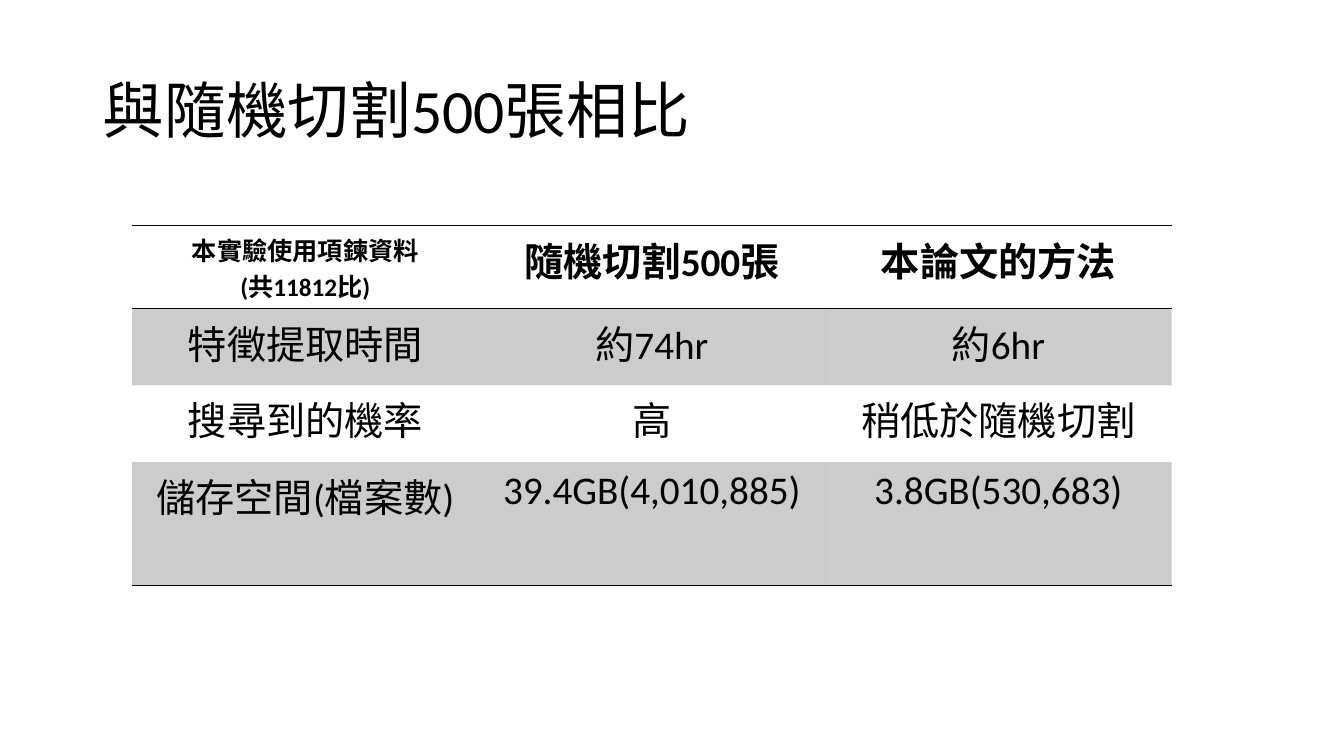
from lxml.etree import SubElement
from pptx import Presentation
from pptx.dml.color import RGBColor
from pptx.enum.text import MSO_ANCHOR, PP_ALIGN
from pptx.oxml.ns import qn
from pptx.util import Inches, Pt

# Content
TITLE = "與隨機切割500張相比"
ROWS = [
    ("本實驗使用項鍊資料\n(共11812比)", "隨機切割500張", "本論文的方法"),
    ("特徵提取時間", "約74hr", "約6hr"),
    ("搜尋到的機率", "高", "稍低於隨機切割"),
    ("儲存空間(檔案數)", "39.4GB(4,010,885)", "3.8GB(530,683)"),
]

# Look
FONT = "Calibri"
BLACK = RGBColor(0, 0, 0)
PLAIN = "{2D5ABB26-0587-4C30-8999-92F81FD0307C}"  # no style, no grid
LEFT, TOP, WIDTH, ROW_H = 1.31, 2.24, 10.31, 0.76
SHADE = 20  # percent of black in banded rows


def style(run, size, bold=False):
    run.font.name = FONT
    run.font.size = Pt(size)
    run.font.bold = bold
    run.font.color.rgb = BLACK


def rule(cell, side):
    line = SubElement(cell._tc.get_or_add_tcPr(), qn("a:" + side), w=str(Pt(1)))
    fill = SubElement(line, qn("a:solidFill"))
    SubElement(fill, qn("a:srgbClr"), val=str(BLACK))


def shade(cell):
    cell.fill.solid()
    cell.fill.fore_color.rgb = BLACK
    color = cell._tc.tcPr.find(".//" + qn("a:solidFill") + "[last()]")
    color = cell._tc.tcPr.find(qn("a:solidFill")).find(qn("a:srgbClr"))
    SubElement(color, qn("a:alpha"), val=str(SHADE * 1000))


deck = Presentation()
deck.slide_width, deck.slide_height = Inches(13.33), Inches(7.5)
slide = deck.slides.add_slide(deck.slide_layouts[5])

# Title
title = slide.shapes.title
title.left, title.top = Inches(0.92), Inches(0.4)
title.width, title.height = Inches(11.5), Inches(1.45)
frame = title.text_frame
frame.text = TITLE
frame.vertical_anchor = MSO_ANCHOR.MIDDLE
head = frame.paragraphs[0]
head.alignment = PP_ALIGN.LEFT
head.line_spacing = 0.9
style(head.runs[0], 44)

# Table
holder = slide.shapes.add_table(
    len(ROWS), len(ROWS[0]), Inches(LEFT), Inches(TOP),
    Inches(WIDTH), Inches(ROW_H * len(ROWS)))
table = holder.table
table.horz_banding = False
table._tbl.tblPr.find(qn("a:tableStyleId")).text = PLAIN
for row in table.rows:
    row.height = Inches(ROW_H)

# Cells: rules around the header and at the foot, shade on odd rows
last = len(ROWS) - 1
for r, texts in enumerate(ROWS):
    for c, text in enumerate(texts):
        cell = table.cell(r, c)
        cell.text_frame.text = text
        for para in cell.text_frame.paragraphs:
            para.alignment = PP_ALIGN.CENTER
            style(para.runs[0], 18 if r == c == 0 else 28, bold=r == 0)
        if r == 0:
            rule(cell, "lnT")
        if r in (0, last):
            rule(cell, "lnB")
        if r % 2:
            shade(cell)
        else:
            cell.fill.background()

deck.save("out.pptx")
